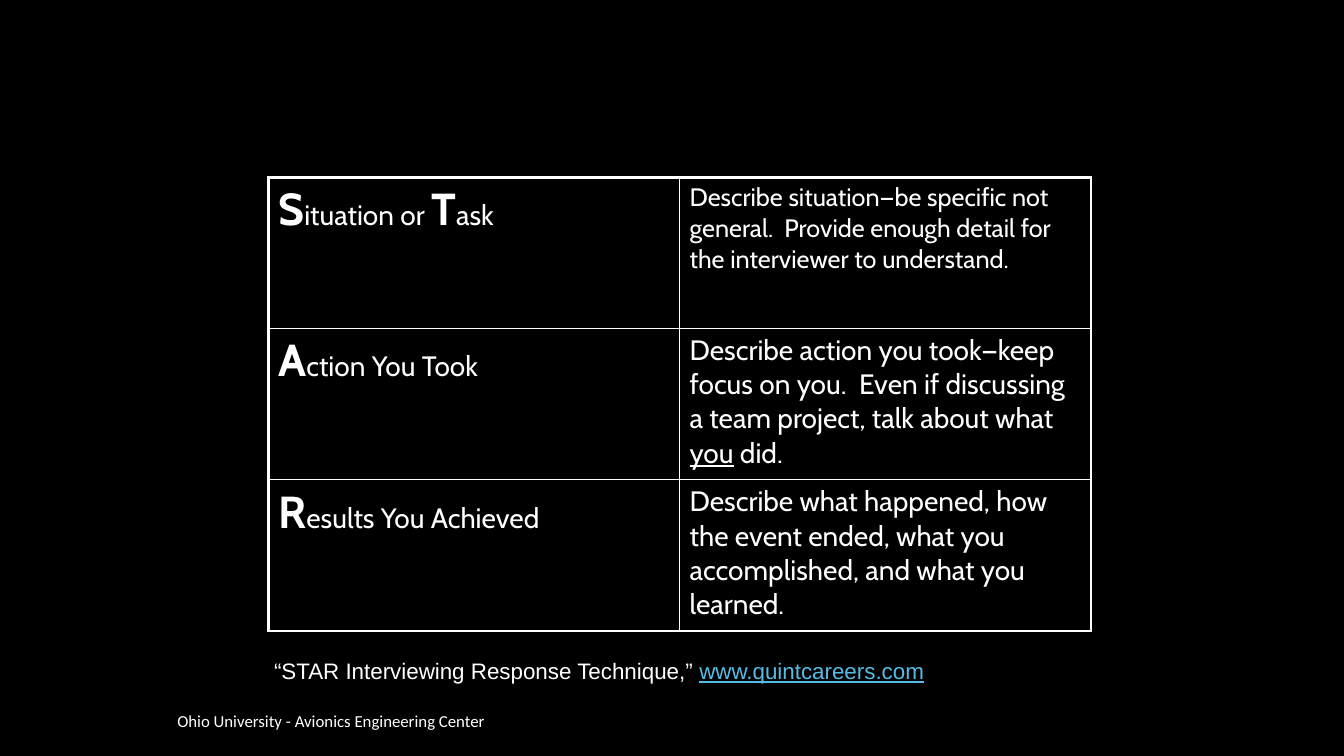
from lxml.etree import SubElement
from pptx import Presentation
from pptx.dml.color import RGBColor
from pptx.enum.text import MSO_ANCHOR as Anchor
from pptx.oxml.ns import qn
from pptx.util import Pt

PX = 9144
COLORS = {"back": "000000", "text": "FFFFFF", "link": "57BCE5"}


class StarSlide:
    """Draws styled elements on one slide, with lengths in px of 1/100 inch."""

    def __init__(self, deck):
        self.slide = deck.slides.add_slide(deck.slide_layouts[6])
        fill = self.slide.background.fill
        fill.solid()
        fill.fore_color.rgb = RGBColor.from_string(COLORS["back"])

    def add_parts(self, frame, parts, font_name):
        frame.word_wrap = True
        paragraph = frame.paragraphs[0]
        for wording, size, *marks in parts:
            run = paragraph.add_run()
            run.text = wording
            font = run.font
            font.name, font.size = font_name, Pt(size)
            font.bold = "bold" in marks
            font.underline = "underline" in marks
            color = COLORS["link" if "link" in marks else "text"]
            font.color.rgb = RGBColor.from_string(color)

    def text(self, box, parts, font_name, anchor=Anchor.TOP):
        frame = self.slide.shapes.add_textbox(*(n * PX for n in box)).text_frame
        self.add_parts(frame, parts, font_name)
        frame.vertical_anchor = anchor

    def border(self, cell, side, width):
        line = SubElement(cell._tc.get_or_add_tcPr(), qn(f"a:ln{side}"), w=str(Pt(width)))
        fill = SubElement(line, qn("a:solidFill"))
        SubElement(fill, qn("a:srgbClr"), val=COLORS["text"])

    def table(self, box, rows, font_name, outer=2.25, inner=1):
        last_row, last_column = len(rows) - 1, len(rows[0]) - 1
        table = self.slide.shapes.add_table(
            len(rows), len(rows[0]), *(n * PX for n in box)).table
        table.first_row = table.horz_banding = False
        for r, row in enumerate(rows):
            for c, parts in enumerate(row):
                cell = table.cell(r, c)
                self.add_parts(cell.text_frame, parts, font_name)
                edges = {"L": c == 0, "R": c == last_column,
                         "T": r == 0, "B": r == last_row}
                for side, is_outer in edges.items():
                    self.border(cell, side, outer if is_outer else inner)
                cell.fill.background()


def main():
    deck = Presentation()
    deck.slide_width, deck.slide_height = 1333 * PX, 750 * PX
    star = StarSlide(deck)

    star.text((166, 700, 692, 30),
              [("Ohio University - Avionics Engineering Center", 12)],
              "Calibri", Anchor.MIDDLE)

    steps = [
        [[("S", 32, "bold"), ("ituation or ", 20), ("T", 32, "bold"), ("ask", 20)],
         [("Describe situation—be specific not general.  Provide enough detail "
           "for the interviewer to understand.", 18)]],
        [[("A", 32, "bold"), ("ction You Took", 20)],
         [("Describe action you took—keep focus on you.  Even if discussing "
           "a team project, talk about what ", 20),
          ("you", 20, "underline"), (" did.", 20)]],
        [[("R", 32, "bold"), ("esults You Achieved", 20)],
         [("Describe what happened, how the event ended, what you "
           "accomplished, and what you learned.", 20)]],
    ]
    star.table((266, 176, 816, 450), steps, "Cabin")

    star.text((262, 647, 816, 77),
              [("“STAR Interviewing Response Technique,” ", 16),
               ("www.quintcareers.com", 16, "link", "underline")],
              "Arial")
    deck.save("out.pptx")


if __name__ == "__main__":
    main()
